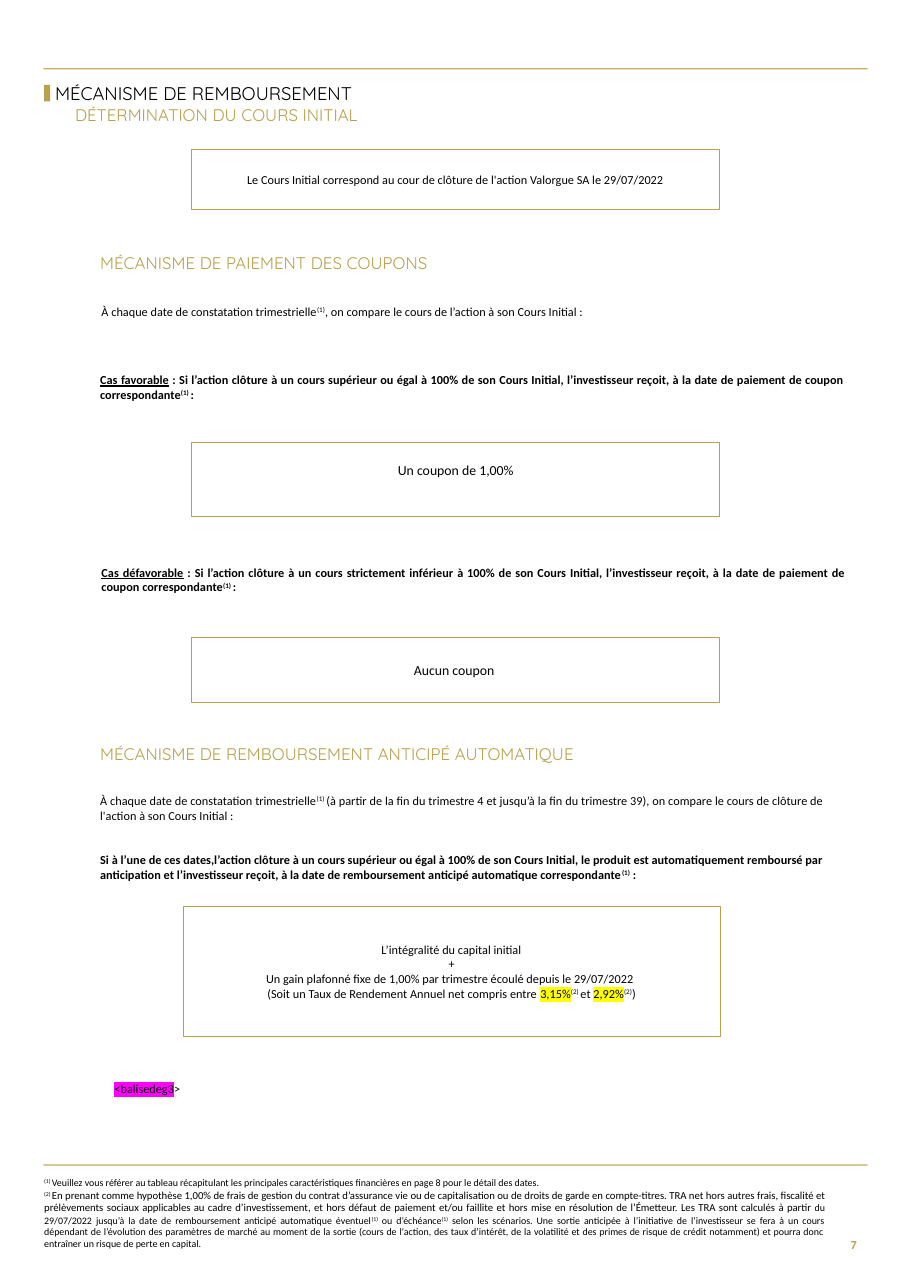
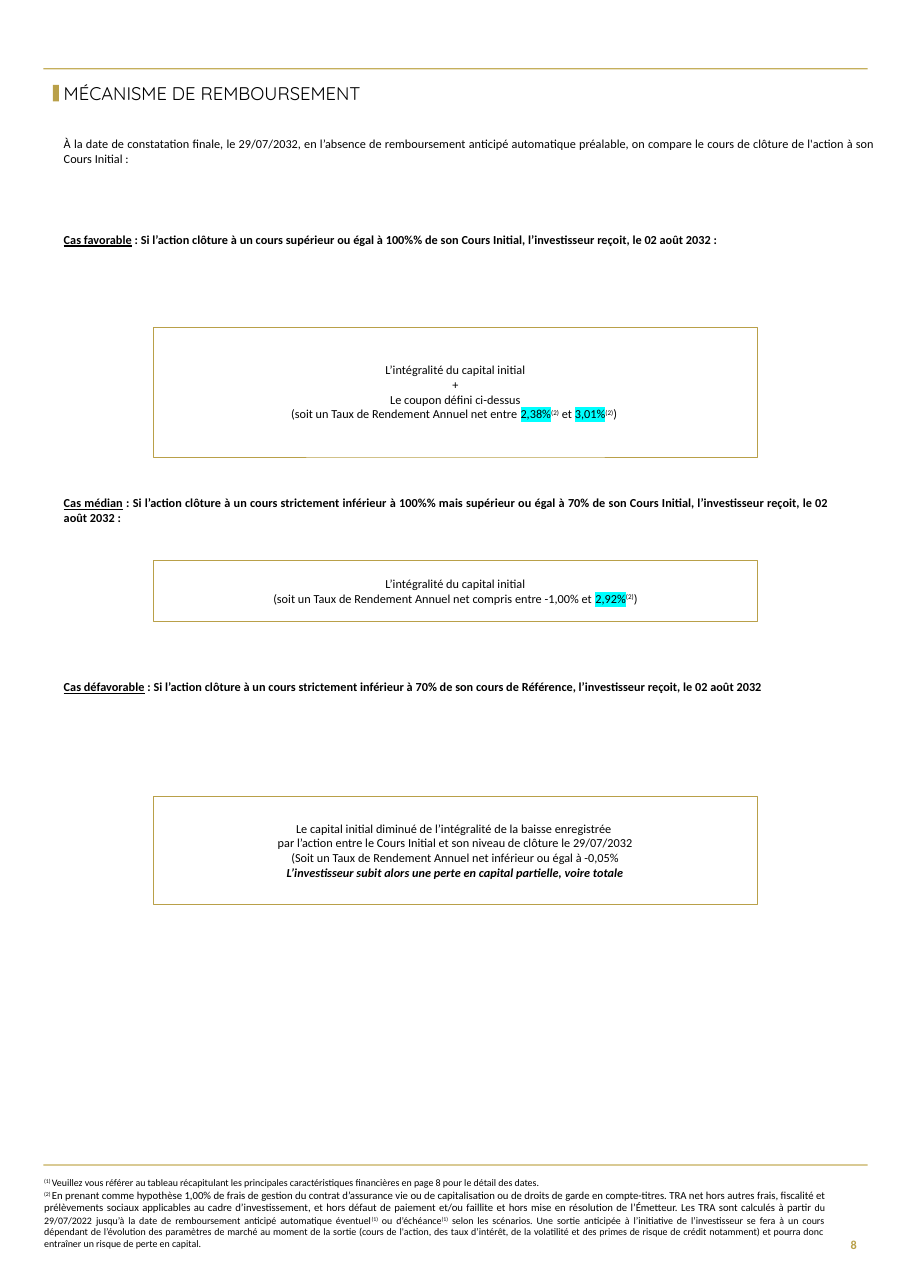
import pptx
import pptx.util
import pptx.dml.color
import pptx.enum.shapes
import pptx.enum.text
import lxml.etree

Cm, Pt = pptx.util.Cm, pptx.util.Pt
ALIGN = pptx.enum.text.PP_ALIGN
ANCHOR = pptx.enum.text.MSO_ANCHOR
RECT = pptx.enum.shapes.MSO_SHAPE.RECTANGLE

HUES = {"gold": "B9A049", "rule": "C5AF5C", "ink": "000000", "page": "FFFFFF"}
MARKS = {"y": "FFFF00", "c": "00FFFF", "m": "FF00FF"}
BODY, HEAD = "Calibri", "Quicksand"
PAGE_W, PAGE_H = 21, 29.7
NOTE = 6.5

# Run flags: b bold, i italic, u underline, s superscript, l larger, y/c/m marker
REF1, REF2 = ("(1)", "s"), ("(2)", "s")
TITLE = "MÉCANISME DE REMBOURSEMENT"
WHOLE = "L’intégralité du capital initial"
NOTES = [
    [("(1) ", "s"), "Veuillez vous référer au tableau récapitulant les principales "
     "caractéristiques financières en page 8 pour le détail des dates."],
    [("(2) ", "s"),
     ("En prenant comme hypothèse 1,00% de frais de gestion du contrat d’assurance vie "
      "ou de capitalisation ou de droits de garde en compte-titres. TRA net hors autres "
      "frais, fiscalité et prélèvements sociaux applicables au cadre d’investissement, et "
      "hors défaut de paiement et/ou faillite et hors mise en résolution de l’Émetteur. "
      "Les TRA sont calculés à partir ", "l"),
     "du 29/07/2022 jusqu’à la date de remboursement anticipé automatique éventuel",
     REF1, " ou d’échéance", REF1,
     " selon les scénarios. Une sortie anticipée à l’initiative de l’investisseur se fera "
     "à un cours dépendant de l’évolution des paramètres de marché au moment de la sortie "
     "(cours de l'action, des taux d’intérêt, de la volatilité et des primes de risque de "
     "crédit notamment) et pourra donc entraîner un risque de perte en capital."],
]


def rgb(name):
    return pptx.dml.color.RGBColor.from_string(HUES[name])


def add_run(para, text, flags, size, font, hue):
    run = para.add_run()
    run.text = text
    face = run.font
    face.size = Pt(size + 0.5 if "l" in flags else size)
    face.bold, face.italic = "b" in flags, "i" in flags
    face.underline = "u" in flags
    face.color.rgb = rgb(hue)
    props = run._r.get_or_add_rPr()
    if "s" in flags:
        props.set("baseline", "30000")
    for flag in flags:
        if flag in MARKS:
            fill = props.find(pptx.oxml.ns.qn("a:solidFill"))
            mark = lxml.etree.Element(pptx.oxml.ns.qn("a:highlight"))
            tint = lxml.etree.SubElement(mark, pptx.oxml.ns.qn("a:srgbClr"))
            tint.set("val", MARKS[flag])
            fill.addnext(mark)
    face.name = font


def write(shape, paras, size=8, font=BODY, hue="ink", align=ALIGN.JUSTIFY,
          anchor=ANCHOR.TOP, pad=(0, 0, 0, 0), lead=None, gap=0):
    """Fill a shape; each paragraph is a list of strings or (text, flags)."""
    frame = shape.text_frame
    frame.word_wrap = True
    frame.vertical_anchor = anchor
    frame.margin_left, frame.margin_top, frame.margin_right, frame.margin_bottom = map(Cm, pad)
    for num, runs in enumerate(paras):
        para = frame.add_paragraph() if num else frame.paragraphs[0]
        para.alignment = align
        if lead:
            para.line_spacing = lead
        if num and gap:
            para.space_before = Pt(gap)
        for run in runs:
            text, flags = (run, "") if isinstance(run, str) else run
            add_run(para, text, flags, size, font, hue)


def add_text(slide, x, y, w, h, paras, **style):
    write(slide.shapes.add_textbox(Cm(x), Cm(y), Cm(w), Cm(h)), paras, **style)


def add_rect(slide, x, y, w, h, fill=None):
    rect = slide.shapes.add_shape(RECT, Cm(x), Cm(y), Cm(w), Cm(h))
    rect.shadow.inherit = False
    if fill:
        rect.fill.solid()
        rect.fill.fore_color.rgb = rgb(fill)
    else:
        rect.fill.background()
    rect.line.fill.background()
    return rect


def add_box(slide, x, y, w, h, paras, line=0.5, fill=None, drop=0, **style):
    """Outlined box with centred text; drop lifts the text off the bottom."""
    box = add_rect(slide, x, y, w, h, fill)
    box.line.color.rgb = rgb("gold")
    box.line.width = Pt(line)
    write(box, paras, align=ALIGN.CENTER, anchor=ANCHOR.MIDDLE,
          pad=(0.3, 0.2, 0.3, 0.2 + drop), **style)


def add_head(slide, x, y, w, text):
    add_text(slide, x, y, w, 0.45, [[text]], size=11, font=HEAD, hue="gold",
             align=ALIGN.LEFT, lead=0.9)


def add_case(slide, x, y, w, label, *rest):
    add_text(slide, x, y, w, 0.69, [[(label, "bu"), *rest]])


def add_frame(deck, num, x):
    """Rules, marked title, footnotes and page number; x is the title mark."""
    slide = deck.slides.add_slide(deck.slide_layouts[6])
    slide.background.fill.solid()
    slide.background.fill.fore_color.rgb = rgb("page")
    for y in (1.57, 26.85):
        add_rect(slide, 1, y, PAGE_W - 2, 0.03, "rule")
    add_rect(slide, x, 1.96, 0.14, 0.38, "gold")
    add_text(slide, x + 0.25, 1.85, 10.7, 0.64, [[TITLE]], size=12, font=HEAD,
             align=ALIGN.LEFT, anchor=ANCHOR.MIDDLE, lead=0.9)
    add_text(slide, 1.02, 27.13, 18, 1.73, NOTES, size=NOTE)
    add_text(slide, 19, 28.17, 0.75, 1.07, [[(str(num), "b")]], hue="gold",
             align=ALIGN.RIGHT, anchor=ANCHOR.MIDDLE)
    return slide


def add_coupon(deck):
    slide = add_frame(deck, 7, 1.02)
    x, left, w = 2.31, 4.42, 12.17

    # Initial price
    add_head(slide, 1.73, 2.46, 8.05, "DÉTERMINATION DU COURS INITIAL")
    add_box(slide, left, 3.45, w, 1.37, [[
        "Le Cours Initial correspond au cour de clôture de l'action Valorgue SA le 29/07/2022"]])

    # Coupon payment
    add_head(slide, x, 5.89, 17.2, "MÉCANISME DE PAIEMENT DES COUPONS")
    add_text(slide, x + 0.03, 7.01, 16.69, 0.34, [[
        "À chaque date de constatation trimestrielle", REF1,
        ", on compare le cours de l’action à son Cours Initial :"]])
    cases = [
        (x, 8.59, "Cas favorable", "supérieur ou égal"),
        (x + 0.03, 13.03, "Cas défavorable", "strictement inférieur"),
    ]
    for at, y, label, level in cases:
        add_case(slide, at, y, 17.17, label,
                 (f" : Si l’action clôture à un cours {level} à 100% de son Cours Initial, "
                  "l’investisseur reçoit, à la date de paiement de coupon correspondante", "b"),
                 ("(1) ", "bs"), (":", "b"))
    add_box(slide, left, 10.21, w, 1.7, [["Un coupon de 1,00%"]], line=0.75,
            fill="page", drop=0.4, size=9, lead=0.9)
    add_box(slide, left, 14.71, w, 1.5, [["Aucun coupon "]], line=0.75,
            fill="page", size=9)

    # Early redemption
    add_head(slide, x, 17.2, 17.2, "MÉCANISME DE REMBOURSEMENT ANTICIPÉ AUTOMATIQUE")
    add_text(slide, x, 18.29, 16.69, 2.06, [
        ["À chaque date de constatation trimestrielle", ("(1) ", "s"),
         "(à partir de la fin du trimestre 4 et jusqu’à la fin du trimestre 39), on compare "
         "le cours de clôture de l'action à son Cours Initial :"],
        [("Si à l’une de ces dates,l’action clôture à un cours supérieur ou égal à 100% de "
          "son Cours Initial, le produit est automatiquement remboursé par anticipation et "
          "l’investisseur reçoit, à la date de remboursement anticipé automatique "
          "correspondante", "b"), ("(1)", "bs"), (" :", "b")],
    ], gap=19.5)
    add_box(slide, 4.22, 20.9, 12.38, 3, [
        [WHOLE],
        ["+"],
        ["Un gain plafonné fixe de 1,00% par trimestre écoulé depuis le 29/07/2022 "],
        ["(Soit un Taux de Rendement Annuel net compris entre ", ("3,15%", "y"),
         ("(2) ", "s"), "et ", ("2,92%", "y"), REF2, ")"],
    ])
    add_text(slide, 2.64, 24.94, 16, 0.36, [[("<balisedeg3", "m"), ">"]], align=ALIGN.LEFT)


def add_final(deck):
    slide = add_frame(deck, 8, 1.22)
    x, left, w = 1.47, 3.53, 13.94
    add_text(slide, x, 3.15, 18.72, 0.69, [[
        "À la date de constatation finale, le 29/07/2032, en l’absence de remboursement "
        "anticipé automatique préalable, on compare le cours de clôture de l'action à son "
        "Cours Initial :"]])

    # Each case: its line, then its box
    cases = [
        (5.36, 16.87, "Cas favorable",
         "supérieur ou égal à 100%% de son Cours Initial, l’investisseur reçoit, "
         "le 02 août 2032 :",
         7.54, 3, [
             [WHOLE],
             ["+"],
             ["Le coupon défini ci-dessus"],
             ["(soit un Taux de Rendement Annuel net entre ", ("2,38%", "c"), REF2,
              " et ", ("3,01%", "c"), REF2, ") "]]),
        (11.43, 17.65, "Cas médian",
         "strictement inférieur à 100%% mais supérieur ou égal à 70% de son Cours Initial, "
         "l’investisseur reçoit, le 02 août 2032 :",
         12.93, 1.4, [
             [WHOLE],
             ["(soit un Taux de Rendement Annuel net compris entre -1,00% et ",
              ("2,92%", "c"), REF2, ")"]]),
        (15.67, 16.87, "Cas défavorable",
         "strictement inférieur à 70% de son cours de Référence, l’investisseur reçoit, "
         "le 02 août 2032",
         18.36, 2.5, [
             ["Le capital initial diminué de l’intégralité de la baisse enregistrée "],
             ["par l’action entre le Cours Initial et son niveau de clôture le 29/07/2032"],
             ["(Soit un Taux de Rendement Annuel net inférieur ou égal à -0,05%"],
             [("L’investisseur subit alors une perte en capital partielle, voire totale",
               "bi")]]),
    ]
    for y, wide, label, rest, top, h, paras in cases:
        add_case(slide, x, y, wide, label,
                 (" : Si l’action clôture à un cours " + rest, "b"))
        add_box(slide, left, top, w, h, paras)


def main():
    deck = pptx.Presentation()
    deck.slide_width, deck.slide_height = Cm(PAGE_W), Cm(PAGE_H)
    add_coupon(deck)
    add_final(deck)
    deck.save("out.pptx")


if __name__ == "__main__":
    main()
